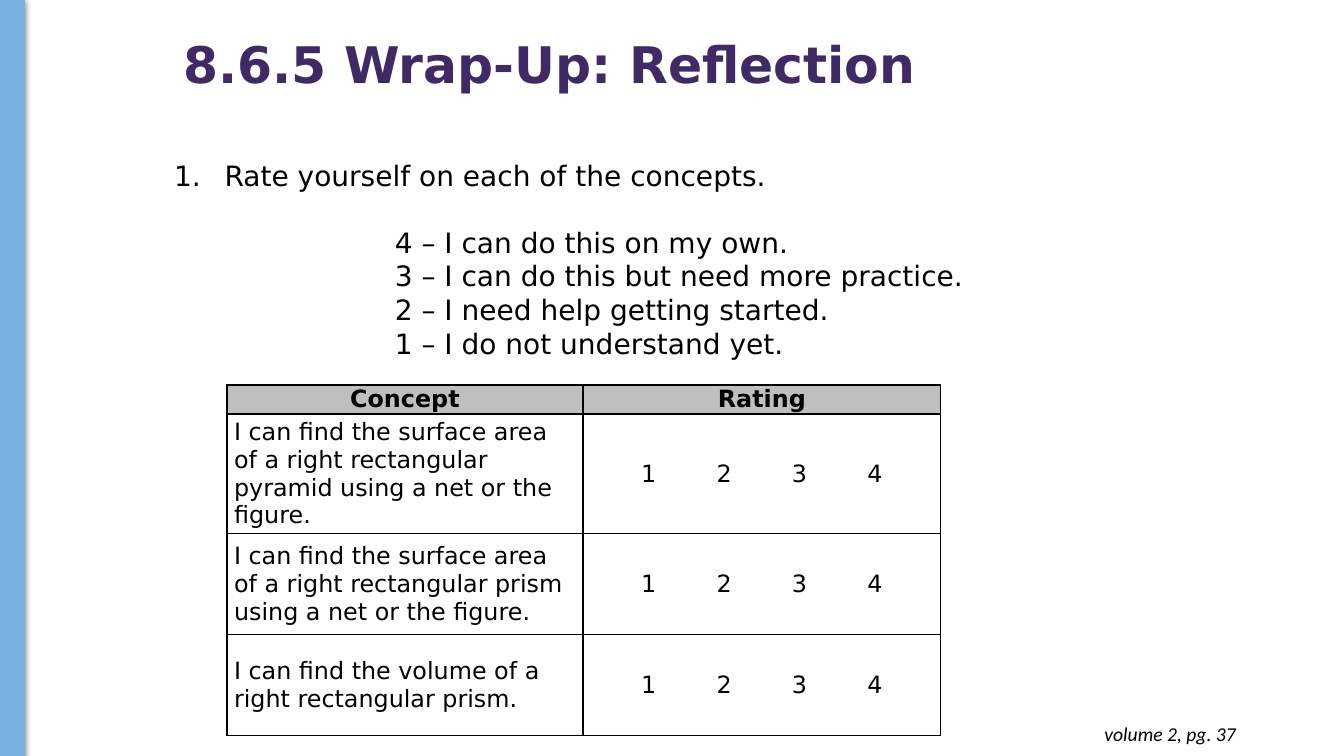
from lxml import etree
from pptx import Presentation
from pptx import util as u
from pptx.dml.color import RGBColor
from pptx.enum import shapes, text
from pptx.oxml import ns

BLACK = RGBColor(0x00, 0x00, 0x00)
WHITE = RGBColor(0xFF, 0xFF, 0xFF)
GRAY = RGBColor(0xBF, 0xBF, 0xBF)
BLUE = RGBColor(0x79, 0xB0, 0xDD)
PURPLE = RGBColor(0x3F, 0x2A, 0x67)

SCALE = (
    "4 – I can do this on my own.",
    "3 – I can do this but need more practice.",
    "2 – I need help getting started.",
    "1 – I do not understand yet.",
)
CONCEPTS = (
    "I can find the surface area of a right rectangular pyramid using a net or the figure.",
    "I can find the surface area of a right rectangular prism using a net or the figure.",
    "I can find the volume of a right rectangular prism.",
)


def add_element(parent, tag, **attributes):
    """Append a drawing element with the given attributes."""
    values = {name: str(value) for name, value in attributes.items()}
    return etree.SubElement(parent, ns.qn(tag), values)


class ReflectionSlide:
    """Hold the lesson style and the slide being built."""

    font_name = "DejaVu Sans"

    def __init__(self, presentation):
        """Add a title-only slide."""
        self.slide = presentation.slides.add_slide(presentation.slide_layouts[5])

    def place(self, shape, left, top, width, height):
        """Position a shape in centimetres."""
        shape.left, shape.top = u.Cm(left), u.Cm(top)
        shape.width, shape.height = u.Cm(width), u.Cm(height)

    def style(self, paragraph, size, color=BLACK, bold=False, italic=False, name=None):
        """Format the font of a paragraph."""
        font = paragraph.font
        font.name = name or self.font_name
        font.size = u.Pt(size)
        font.color.rgb = color
        font.bold = bold
        font.italic = italic

    def title(self, wording, *box):
        """Fill and format the title placeholder."""
        shape = self.slide.shapes.title
        self.place(shape, *box)
        frame = shape.text_frame
        frame.text = wording
        frame.auto_size = text.MSO_AUTO_SIZE.NONE
        frame.vertical_anchor = text.MSO_ANCHOR.MIDDLE
        paragraph = frame.paragraphs[0]
        paragraph.alignment = text.PP_ALIGN.LEFT
        paragraph.line_spacing = 0.9
        self.style(paragraph, 36, PURPLE, bold=True)

    def side_bar(self, *box):
        """Draw the shadowed bar at the left edge."""
        bar = self.slide.shapes.add_shape(
            shapes.MSO_SHAPE.RECTANGLE, *(u.Cm(length) for length in box))
        bar.fill.solid()
        bar.fill.fore_color.rgb = BLUE
        bar.line.color.rgb = BLUE
        bar.line.width = u.Pt(0.75)
        bar.shadow.inherit = False
        effects = bar.element.spPr.find(ns.qn("a:effectLst"))
        shadow = add_element(effects, "a:outerShdw", blurRad=u.Pt(4.5),
                             dist=u.Pt(1.5), dir=5400000, rotWithShape=0)
        color = add_element(shadow, "a:srgbClr", val=BLACK)
        add_element(color, "a:alpha", val=50000)

    def text_frame(self, *box):
        """Add a wrapping text box and return its frame."""
        shape = self.slide.shapes.add_textbox(*(u.Cm(length) for length in box))
        shape.text_frame.word_wrap = True
        return shape.text_frame

    def instructions(self, wording, scale, *box):
        """Write the numbered task and its indented rating scale."""
        frame = self.text_frame(*box)
        task = frame.paragraphs[0]
        task.text = wording
        properties = task._p.get_or_add_pPr()
        properties.set("marL", str(u.Cm(1.27)))
        properties.set("indent", str(-u.Cm(1.27)))
        add_element(properties, "a:buFont", typeface="+mj-lt")
        add_element(properties, "a:buAutoNum", type="arabicPeriod")
        self.style(task, 20)
        for index, level in enumerate(scale):
            paragraph = frame.add_paragraph()
            paragraph.text = level
            paragraph._p.get_or_add_pPr().set("marL", str(u.Cm(5.56)))
            if index == 0:
                paragraph.space_before = u.Pt(24)
            self.style(paragraph, 20)

    def page_note(self, wording, *box):
        """Write the page reference."""
        frame = self.text_frame(*box)
        frame.margin_top = frame.margin_bottom = u.Cm(0.25)
        paragraph = frame.paragraphs[0]
        paragraph.text = wording
        paragraph.alignment = text.PP_ALIGN.RIGHT
        self.style(paragraph, 14, italic=True, name="Calibri")

    def cell(self, cell, wording, header=False, centered=False, tabs=()):
        """Fill a table cell and draw its borders."""
        cell.margin_left = cell.margin_right = u.Cm(0.18)
        cell.margin_top = cell.margin_bottom = 0
        cell.vertical_anchor = text.MSO_ANCHOR.MIDDLE
        properties = cell._tc.get_or_add_tcPr()
        for side in "LRTB":
            border = add_element(properties, f"a:ln{side}", w=u.Pt(1))
            add_element(add_element(border, "a:solidFill"), "a:srgbClr", val=BLACK)
        cell.fill.solid()
        cell.fill.fore_color.rgb = GRAY if header else WHITE
        paragraph = cell.text_frame.paragraphs[0]
        paragraph.text = wording
        paragraph.alignment = text.PP_ALIGN.CENTER if centered else text.PP_ALIGN.LEFT
        if tabs:
            stops = add_element(paragraph._p.get_or_add_pPr(), "a:tabLst")
            for position in tabs:
                add_element(stops, "a:tab", pos=u.Cm(position), algn="ctr")
        self.style(paragraph, 17, bold=header)

    def rating_table(self, concepts, left, top, widths, heights):
        """Add the table that pairs each concept with its ratings."""
        table = self.slide.shapes.add_table(
            len(heights), len(widths), u.Cm(left), u.Cm(top),
            u.Cm(sum(widths)), u.Cm(sum(heights))).table
        for column, width in zip(table.columns, widths):
            column.width = u.Cm(width)
        for row, height in zip(table.rows, heights):
            row.height = u.Cm(height)
        for column, heading in enumerate(("Concept", "Rating")):
            self.cell(table.cell(0, column), heading, header=True, centered=True)
        tabs = [1.48 + 1.9 * step for step in range(4)]
        for row, concept in enumerate(concepts, start=1):
            self.cell(table.cell(row, 0), concept)
            self.cell(table.cell(row, 1), "\t1\t2\t3\t4", tabs=tabs)


def main():
    """Build and save the reflection slide."""
    presentation = Presentation()
    presentation.slide_width = u.Cm(33.87)
    presentation.slide_height = u.Cm(19.05)
    page = ReflectionSlide(presentation)
    page.side_bar(0, -0.02, 0.61, 19.07)
    page.title("8.6.5 Wrap-Up: Reflection", 4.37, -0.15, 22.28, 3.68)
    page.instructions("Rate yourself on each of the concepts.", SCALE,
                      4.14, 3.86, 24.71, 5.38)
    page.rating_table(CONCEPTS, 5.72, 9.7, (8.97, 9.02), (0.73, 3.02, 2.54, 2.54))
    page.page_note("volume 2, pg. 37", 24.08, 17.93, 7.32, 1.12)
    presentation.save("out.pptx")


if __name__ == "__main__":
    main()
